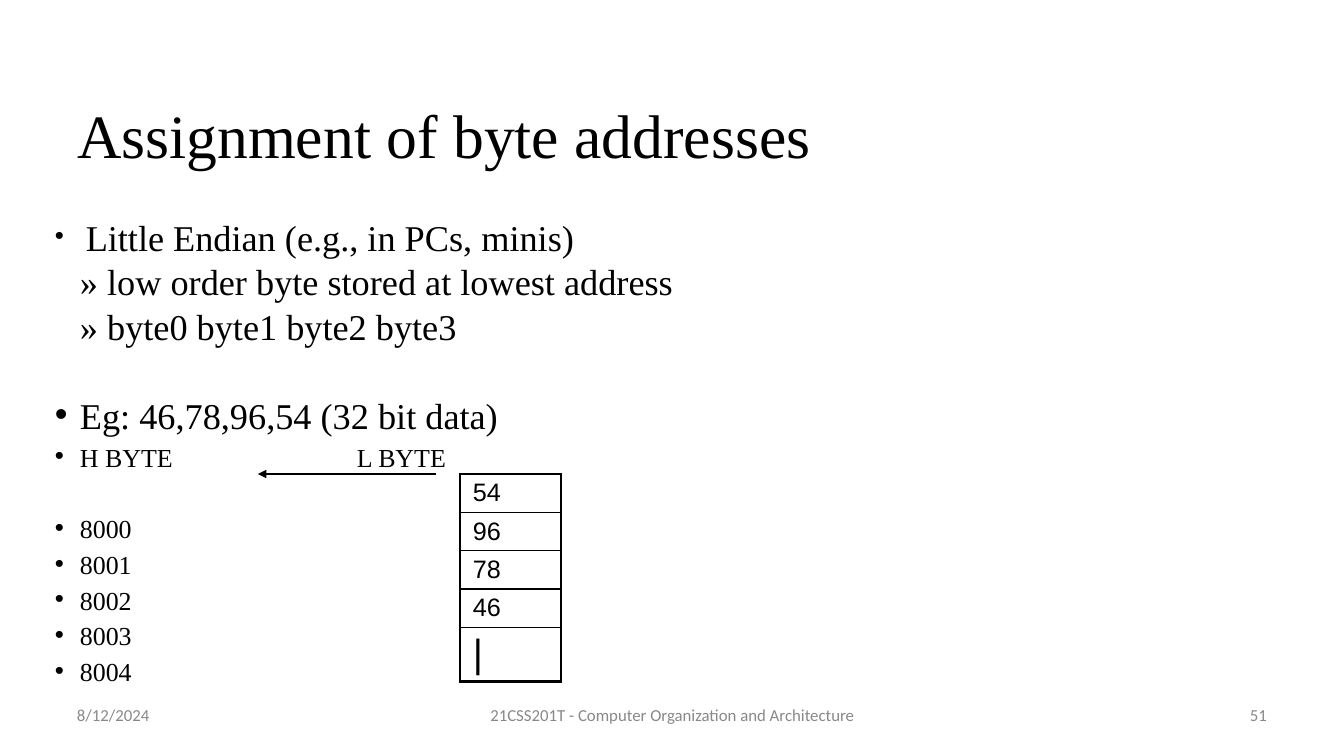
from dataclasses import dataclass

from lxml.etree import SubElement
from pptx import Presentation
from pptx.dml.color import RGBColor
from pptx.enum.shapes import MSO_CONNECTOR
from pptx.enum.text import MSO_ANCHOR, MSO_AUTO_SIZE, PP_ALIGN
from pptx.oxml import parse_xml
from pptx.oxml.ns import nsdecls, qn
from pptx.util import Emu, Pt


@dataclass(frozen=True)
class Theme:
    ink: str = "000000"
    muted: str = "888888"
    serif: str = "Times New Roman"
    sans: str = "Arial"
    footer_font: str = "Calibri"
    title: float = 44
    large: float = 25.9
    small: float = 18.5
    cell: float = 18
    cursor: float = 28
    footer: float = 12
    thick: float = 2.25
    thin: float = 1
    arrow: float = 0.75


THEME = Theme()
EMU_PER_PX = 914400 / 100.8

TITLE = "Assignment of byte addresses"
# text, size, bulleted, space before in points
LINES = [
    ("Little Endian (e.g., in PCs, minis)", THEME.large, True, 0),
    ("» low order byte stored at lowest address", THEME.large, False, 10),
    ("» byte0 byte1 byte2 byte3", THEME.large, False, 10),
    ("Eg: 46,78,96,54 (32 bit data)", THEME.large, True, 42),
    ("H BYTE\tL BYTE", THEME.small, True, 10),
    ("8000", THEME.small, True, 35.5),
    ("8001", THEME.small, True, 10),
    ("8002", THEME.small, True, 10),
    ("8003", THEME.small, True, 10),
    ("8004", THEME.small, True, 10),
]
MEMORY = [
    ("54", THEME.cell, 38),
    ("96", THEME.cell, 38),
    ("78", THEME.cell, 38),
    ("46", THEME.cell, 38),
    ("|", THEME.cursor, 54),
]
# text, left, width, alignment
FOOTERS = [
    ("8/12/2024", 67, 314, PP_ALIGN.LEFT),
    ("21CSS201T - Computer Organization and Architecture", 460, 425, PP_ALIGN.CENTER),
    ("51", 963, 314, PP_ALIGN.RIGHT),
]
FOOTER_TOP, FOOTER_HEIGHT = 689, 52
TITLE_BOX = (67, 76, 1210, 126)
BODY_BOX = (45, 222, 1299, 499)
MEMORY_LEFT, MEMORY_TOP, MEMORY_WIDTH = 460, 474, 101
ARROW_START, ARROW_END = 436, 258
INDENT, LOW_BYTE_TAB, CELL_MARGIN = 25, 302, 13


def px(length):
    return Emu(round(length * EMU_PER_PX))


def set_values(target, values):
    for name, value in values.items():
        setattr(target, name, value)


def add_run(paragraph, text, size, font, color=THEME.ink):
    run = paragraph.add_run()
    run.text = text
    set_values(run.font, {"size": Pt(size), "name": font})
    run.font.color.rgb = RGBColor.from_string(color)


def add_text_frame(slide, box, anchor):
    frame = slide.shapes.add_textbox(*map(px, box)).text_frame
    set_values(frame, {"word_wrap": True, "auto_size": MSO_AUTO_SIZE.NONE,
                       "vertical_anchor": anchor})
    return frame


def add_title(slide):
    title = slide.shapes.title
    set_values(title, dict(zip(("left", "top", "width", "height"), map(px, TITLE_BOX))))
    frame = title.text_frame
    set_values(frame, {"auto_size": MSO_AUTO_SIZE.NONE, "word_wrap": True,
                       "vertical_anchor": MSO_ANCHOR.MIDDLE})
    paragraph = frame.paragraphs[0]
    set_values(paragraph, {"alignment": PP_ALIGN.LEFT, "line_spacing": 0.9})
    add_run(paragraph, TITLE, THEME.title, THEME.serif)


def set_indent(paragraph, bulleted, tabbed):
    properties = paragraph._p.get_or_add_pPr()
    properties.set("marL", str(px(INDENT)))
    properties.set("indent", str(-px(INDENT) if bulleted else 0))
    if bulleted:
        color = SubElement(properties, qn("a:buClr"))
        SubElement(color, qn("a:srgbClr"), val=THEME.ink)
        SubElement(properties, qn("a:buFont"), typeface=THEME.sans)
        SubElement(properties, qn("a:buChar"), char="•")
    else:
        SubElement(properties, qn("a:buNone"))
    if tabbed:
        tabs = SubElement(properties, qn("a:tabLst"))
        SubElement(tabs, qn("a:tab"), pos=str(px(LOW_BYTE_TAB)), algn="l")


def add_body(slide):
    frame = add_text_frame(slide, BODY_BOX, MSO_ANCHOR.TOP)
    for index, (text, size, bulleted, space) in enumerate(LINES):
        paragraph = frame.add_paragraph() if index else frame.paragraphs[0]
        set_values(paragraph, {"line_spacing": 0.7, "space_before": Pt(space)})
        set_indent(paragraph, bulleted, "\t" in text)
        if index == 0:
            add_run(paragraph, " ", THEME.small, THEME.footer_font)
        add_run(paragraph, text, size, THEME.serif)


def set_borders(cell, widths):
    """Draw left, right, top and bottom edges, given in points."""
    properties = cell._tc.get_or_add_tcPr()
    for index, (side, width) in enumerate(zip("LRTB", widths)):
        properties.insert(index, parse_xml(
            f'<a:ln{side} {nsdecls("a")} w="{Pt(width)}"><a:solidFill>'
            f'<a:srgbClr val="{THEME.ink}"/></a:solidFill></a:ln{side}>'))


def add_memory(slide):
    height = sum(row[2] for row in MEMORY)
    table = slide.shapes.add_table(
        len(MEMORY), 1, px(MEMORY_LEFT), px(MEMORY_TOP), px(MEMORY_WIDTH), px(height)).table
    set_values(table, {"first_row": False, "horz_banding": False})
    last = len(MEMORY) - 1
    for index, (text, size, row_height) in enumerate(MEMORY):
        table.rows[index].height = px(row_height)
        cell = table.cell(index, 0)
        set_values(cell, {"margin_left": px(CELL_MARGIN), "margin_right": px(CELL_MARGIN)})
        cell.fill.background()
        add_run(cell.text_frame.paragraphs[0], text, size, THEME.sans)
        top = THEME.thick if index == 0 else THEME.thin
        bottom = THEME.thick if index == last else THEME.thin
        set_borders(cell, (THEME.thick, THEME.thick, top, bottom))


def add_arrow(slide):
    arrow = slide.shapes.add_connector(
        MSO_CONNECTOR.STRAIGHT, px(ARROW_START), px(MEMORY_TOP), px(ARROW_END), px(MEMORY_TOP))
    arrow.line.width = Pt(THEME.arrow)
    arrow.line.color.rgb = RGBColor.from_string(THEME.ink)
    SubElement(arrow.line._get_or_add_ln(), qn("a:tailEnd"), type="triangle")
    SubElement(arrow._element.spPr, qn("a:effectLst"))


def add_footers(slide):
    for text, left, width, alignment in FOOTERS:
        box = (left, FOOTER_TOP, width, FOOTER_HEIGHT)
        paragraph = add_text_frame(slide, box, MSO_ANCHOR.MIDDLE).paragraphs[0]
        paragraph.alignment = alignment
        add_run(paragraph, text, THEME.footer, THEME.footer_font, THEME.muted)


def main():
    presentation = Presentation()
    set_values(presentation, {"slide_width": px(1344), "slide_height": px(756)})
    slide = presentation.slides.add_slide(presentation.slide_layouts.get_by_name("Title Only"))
    for add_part in (add_title, add_body, add_memory, add_arrow, add_footers):
        add_part(slide)
    presentation.save("out.pptx")


if __name__ == "__main__":
    main()
